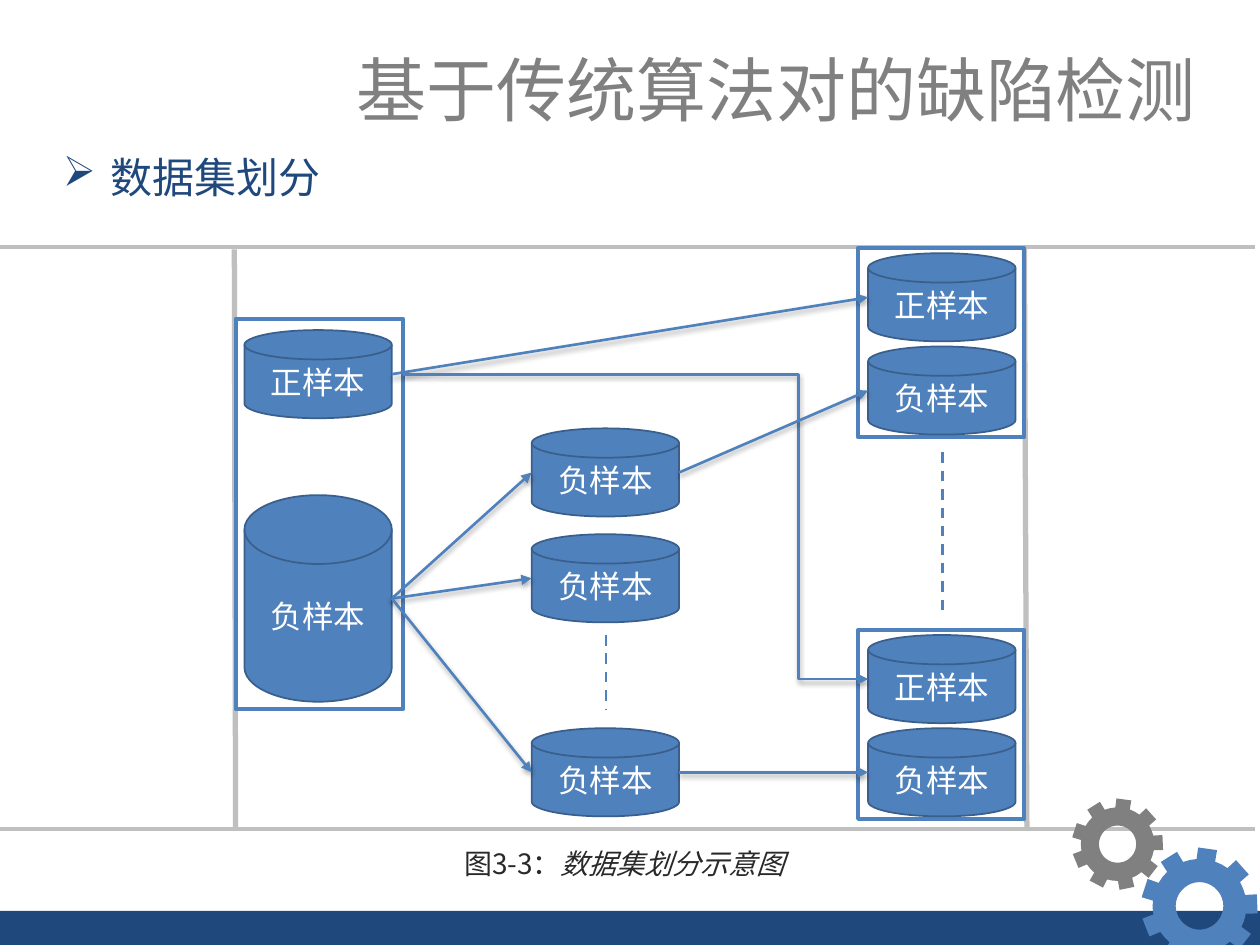
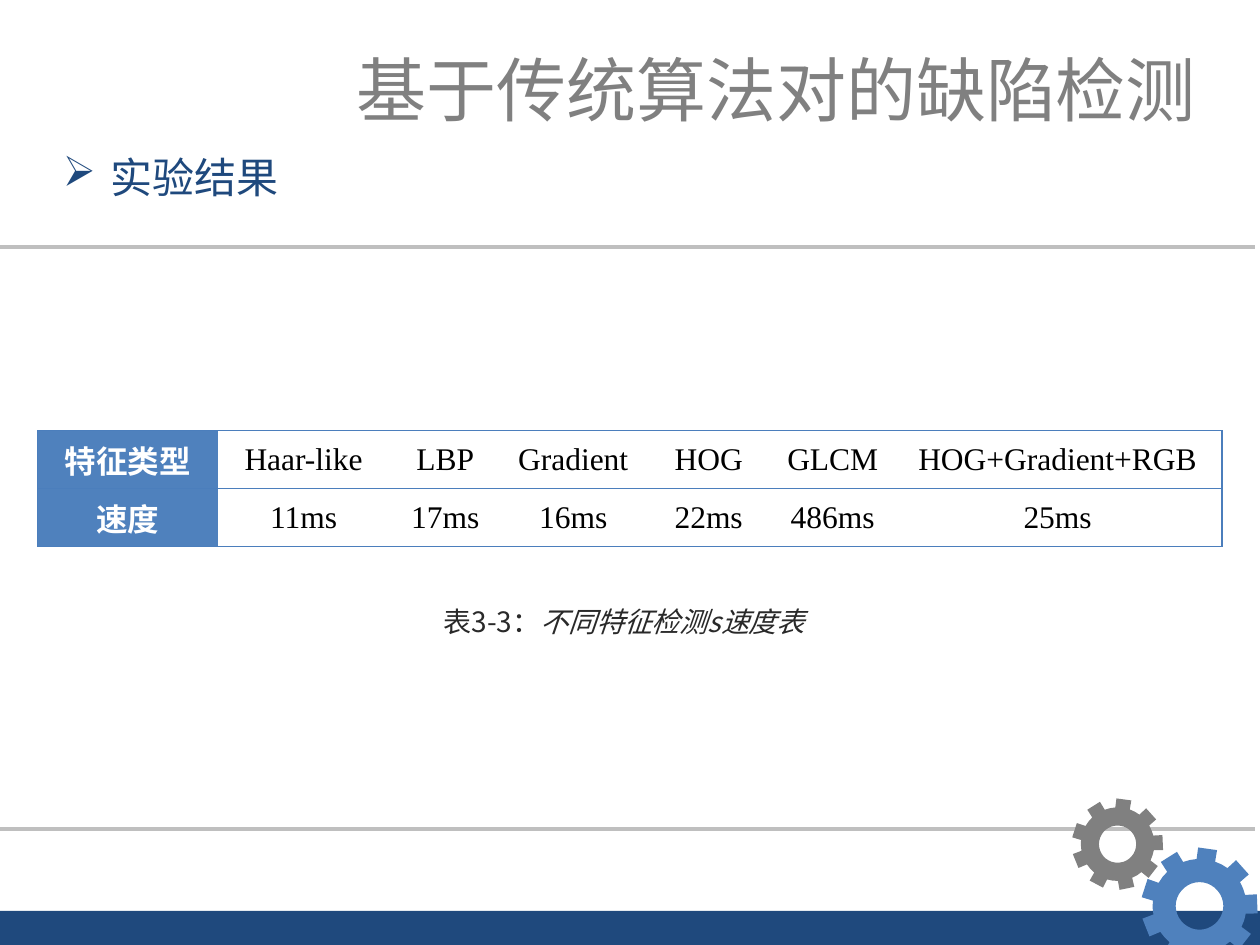
from dataclasses import dataclass
from math import cos, radians, sin

from lxml import etree
from pptx import Presentation
from pptx.dml.color import RGBColor
from pptx.enum.dml import MSO_LINE
from pptx.enum.shapes import MSO_CONNECTOR, MSO_SHAPE
from pptx.enum.text import MSO_ANCHOR, PP_ALIGN
from pptx.oxml.ns import qn
from pptx.util import Inches, Pt

LEFT, CENTER, RIGHT = PP_ALIGN.LEFT, PP_ALIGN.CENTER, PP_ALIGN.RIGHT
MIDDLE = MSO_ANCHOR.MIDDLE
RECT, DISK = MSO_SHAPE.RECTANGLE, MSO_SHAPE.FLOWCHART_MAGNETIC_DISK
STRAIGHT, ELBOW = MSO_CONNECTOR.STRAIGHT, MSO_CONNECTOR.ELBOW
DASH = MSO_LINE.DASH


@dataclass(frozen=True)
class Theme:
    navy: str = "1F497D"
    blue: str = "4F81BD"
    edge: str = "3A5F8C"
    grid: str = "4B7EBC"
    gray: str = "808080"
    rule: str = "BFBFBF"
    ink: str = "292929"
    white: str = "FFFFFF"
    black: str = "000000"
    sans: str = "Noto Sans CJK SC"
    serif: str = "Times New Roman"
    title: int = 40
    head: int = 24
    body: int = 18
    note: int = 16


T = Theme()
COLS, ROWS = 10, 7.5  # slide grid, one unit is a tenth of the width
DISK_W, DISK_H = 1.17, 0.7
FROM_X, MID_X, TO_X = 1.94, 4.22, 6.89  # disk columns


def unit(n):
    return Inches(round(n, 3))


def rgb(code):
    return RGBColor.from_string(code)


def sub(node, tag, **attrs):
    return etree.SubElement(node, qn(tag), attrs)


# Text
def style(par, size, color, face=T.sans, bold=False, align=LEFT):
    par.alignment = align
    font = par.font
    font.size, font.bold, font.name = Pt(size), bold, face
    font.color.rgb = rgb(color)
    sub(par._p.pPr.find(qn("a:defRPr")), "a:ea", typeface=face)


def text_box(slide, x, y, w, h, wrap=True):
    frame = slide.shapes.add_textbox(*map(unit, (x, y, w, h))).text_frame
    frame.word_wrap = wrap
    return frame.paragraphs[0]


def heading(slide, text):
    par = text_box(slide, 0.4, 1.15, 3.95, 0.5)
    props = par._p.get_or_add_pPr()
    props.set("marL", str(unit(0.38)))
    props.set("indent", str(-unit(0.38)))
    sub(props, "a:buChar", char="➢")
    par.text = text
    style(par, T.head, T.navy)


def caption(slide, y, label, text):
    par = text_box(slide, 0.75, y, 8.41, 0.37)
    par.add_run().text = label
    name = par.add_run()
    name.text = text
    name.font.italic = True
    style(par, T.note, T.ink, align=CENTER)


# Shapes and lines
def block(slide, kind, x, y, w, h, fill=None, line=None, width=1.0):
    shape = slide.shapes.add_shape(kind, *map(unit, (x, y, w, h)))
    shape.shadow.inherit = False
    if fill:
        shape.fill.solid()
        shape.fill.fore_color.rgb = rgb(fill)
    else:
        shape.fill.background()
    if line:
        shape.line.color.rgb = rgb(line)
        shape.line.width = Pt(width)
    else:
        shape.line.fill.background()
    return shape


def line(slide, start, end, color=T.blue, width=1.5, dash=None, kind=STRAIGHT):
    link = slide.shapes.add_connector(kind, *map(unit, (*start, *end)))
    link.line.color.rgb = rgb(color)
    link.line.width = Pt(width)
    if dash:
        link.line.dash_style = dash
    sub(link._element.spPr, "a:effectLst")
    return link


def arrow(slide, start, end, bend=None):
    link = line(slide, start, end, kind=ELBOW if bend else STRAIGHT)
    props = link._element.spPr
    sub(props.find(qn("a:ln")), "a:tailEnd", type="triangle")
    shade = sub(props.find(qn("a:effectLst")), "a:outerShdw", blurRad=str(Pt(3.1)),
                dist=str(Pt(1.8)), dir="5400000", rotWithShape="0")
    sub(sub(shade, "a:srgbClr", val=T.black), "a:alpha", val="35000")
    if bend:
        geom = props.find(qn("a:prstGeom"))
        guides = geom.find(qn("a:avLst"))
        if guides is None:
            guides = sub(geom, "a:avLst")
        sub(guides, "a:gd", name="adj1", fmla=f"val {round(bend * 100000)}")


def disk(slide, text, x, y, h=DISK_H):
    """Draw a cylinder; return the middles of its left and right sides."""
    shape = block(slide, DISK, x, y, DISK_W, h, T.blue, T.edge)
    frame = shape.text_frame
    frame.vertical_anchor = MIDDLE
    frame.text = text
    style(frame.paragraphs[0], T.body, T.white, align=CENTER)
    return (x, y + h / 2), (x + DISK_W, y + h / 2)


def frame(slide, x, y, w, h):
    block(slide, RECT, x, y, w, h, line=T.blue, width=2.25)


def gear(slide, x, y, size, color, teeth=9, phase=-2):
    """Cog about (x, y): tooth tips at size, body at 0.81, hole at 0.41."""
    def spot(share, turn):
        angle = radians(turn)
        return unit(x + size * share * cos(angle)), unit(y + size * share * sin(angle))

    step = 360 / teeth
    tooth = [(0.81, -11.5), (1.01, -9.4), (1.01, 9.4), (0.81, 11.5), (0.81, step / 2)]
    rim = [spot(share, phase + n * step + turn)
           for n in range(teeth) for share, turn in tooth]
    hole = [spot(0.41, turn) for turn in range(0, 360, 10)]
    path = slide.shapes.build_freeform(*rim[0])
    path.add_line_segments(rim[1:], close=True)
    path.move_to(*hole[0])
    path.add_line_segments(hole[1:], close=True)
    shape = path.convert_to_shape()
    shape.shadow.inherit = False
    shape.fill.solid()
    shape.fill.fore_color.rgb = rgb(color)
    shape.line.fill.background()


# Table
def borders(cell, sides):
    props = cell._tc.get_or_add_tcPr()
    for side in "LRTB":
        edge = sub(props, f"a:ln{side}", w=str(Pt(0.75)))
        if side in sides:
            sub(sub(edge, "a:solidFill"), "a:srgbClr", val=T.grid)
        else:
            sub(edge, "a:noFill")


def grid(slide, x, y, widths, height, rows):
    table = slide.shapes.add_table(
        len(rows), len(widths), *map(unit, (x, y, sum(widths), height * len(rows)))).table
    table.first_row = table.horz_banding = False
    for col, width in zip(table.columns, widths):
        col.width = unit(width)
    for r, row in enumerate(rows):
        table.rows[r].height = unit(height)
        for c, text in enumerate(row):
            cell = table.cell(r, c)
            first, last = c == 0, c == len(row) - 1
            borders(cell, "TB" + "L" * first + "R" * last)
            cell.vertical_anchor = MIDDLE
            cell.text = text
            par = cell.text_frame.paragraphs[0]
            if first:
                cell.fill.solid()
                cell.fill.fore_color.rgb = rgb(T.blue)
                style(par, T.body, T.white, bold=True, align=CENTER)
            else:
                cell.fill.background()
                style(par, T.body, T.black, T.serif, align=CENTER)


# Slides
def page(deck, topic):
    slide = deck.slides.add_slide(deck.slide_layouts[6])
    block(slide, RECT, 0, 7.23, COLS, 0.44, T.navy)
    par = text_box(slide, 2.66, 0.32, 6.93, 0.77, wrap=False)
    par.text = "基于传统算法对的缺陷检测"
    style(par, T.title, T.gray, align=RIGHT)
    heading(slide, topic)
    for y in (1.96, 6.58):
        line(slide, (-0.04, y), (9.96, y), T.rule, 2.25)
    return slide


def gears(slide):
    gear(slide, 9.52, 7.19, 0.46, T.blue)
    gear(slide, 8.87, 6.7, 0.36, T.gray)


def split(deck):
    slide = page(deck, "数据集划分")
    caption(slide, 6.67, "图3-3：", "数据集划分示意图")
    line(slide, (8.13, 1.96), (8.15, 6.57), T.rule, 3)
    line(slide, (1.86, 1.98), (1.87, 6.59), T.rule, 3)
    gears(slide)

    # Source samples
    frame(slide, 1.87, 2.53, 1.33, 3.1)
    _, good = disk(slide, "正样本", FROM_X, 2.62)
    _, bad = disk(slide, "负样本", FROM_X, 3.93, 1.64)

    # Parts of the negative samples
    parts = [disk(slide, "负样本", MID_X, y) for y in (3.4, 4.24, 5.78)]
    line(slide, (4.81, 5.04), (4.81, 5.63), dash=DASH)

    # Balanced sets
    sets = []
    for top in (1.97, 5):
        frame(slide, 6.81, top, 1.32, 1.5)
        sets.append([disk(slide, text, TO_X, top + gap)[0]
                     for text, gap in (("正样本", 0.04), ("负样本", 0.78))])
    line(slide, (7.48, 3.59), (7.48, 4.87), dash=DASH)

    # Flow
    for entry, _ in parts:
        arrow(slide, bad, entry)
    arrow(slide, good, sets[0][0])
    arrow(slide, (3.2, good[1]), sets[1][0], bend=0.85)
    arrow(slide, parts[0][1], sets[0][1])
    arrow(slide, parts[2][1], sets[1][1])


def results(deck):
    slide = page(deck, "实验结果")
    caption(slide, 4.75, "表3-3：", "不同特征检测s速度表")
    gears(slide)
    grid(slide, 0.3, 3.42, (1.43, 1.36, 0.89, 1.14, 1.01, 0.96, 2.61), 0.46, [
        ("特征类型", "Haar-like", "LBP", "Gradient", "HOG", "GLCM", "HOG+Gradient+RGB"),
        ("速度", "11ms", "17ms", "16ms", "22ms", "486ms", "25ms"),
    ])


def main():
    deck = Presentation()
    deck.slide_width, deck.slide_height = unit(COLS), unit(ROWS)
    split(deck)
    results(deck)
    deck.save("out.pptx")


if __name__ == "__main__":
    main()
